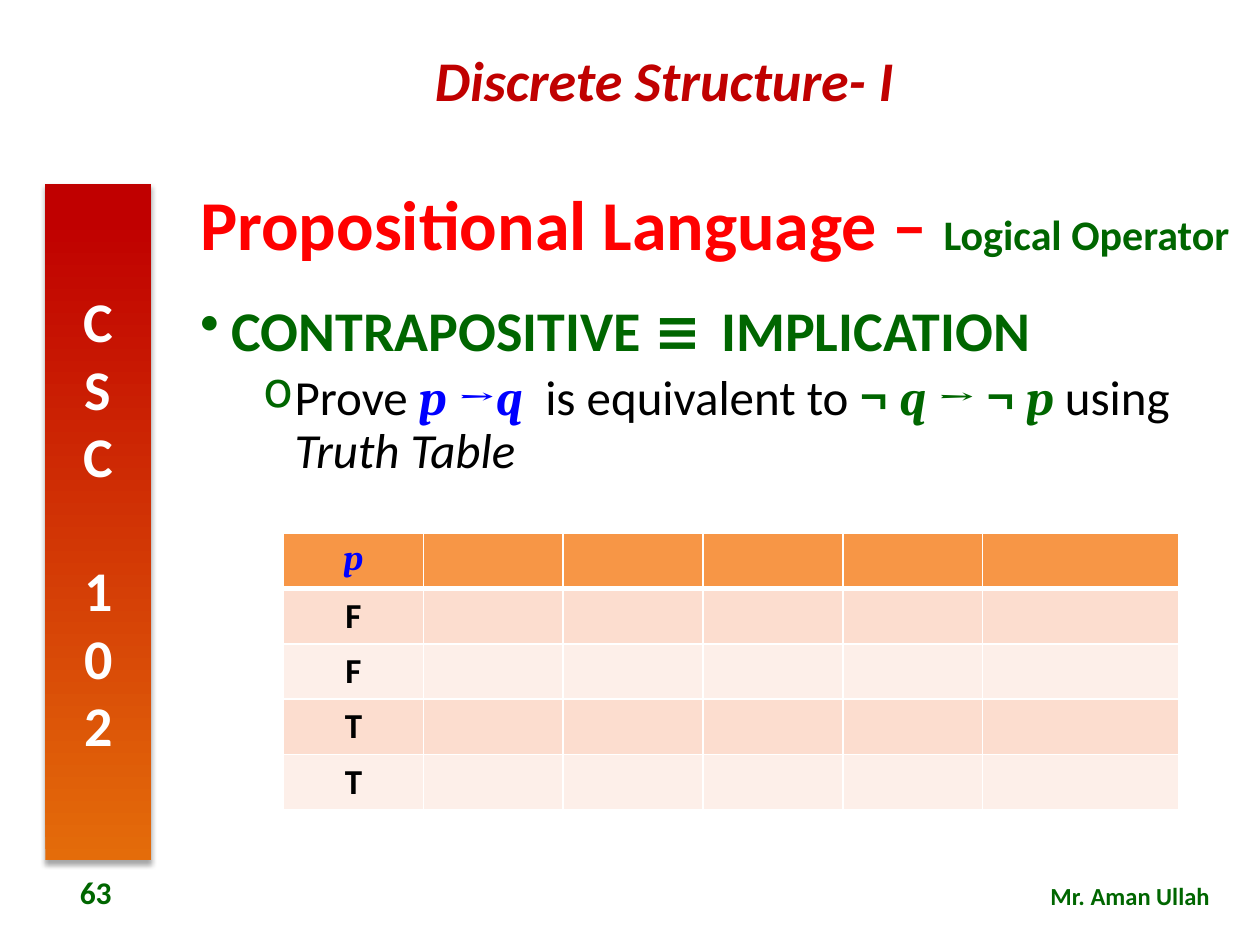
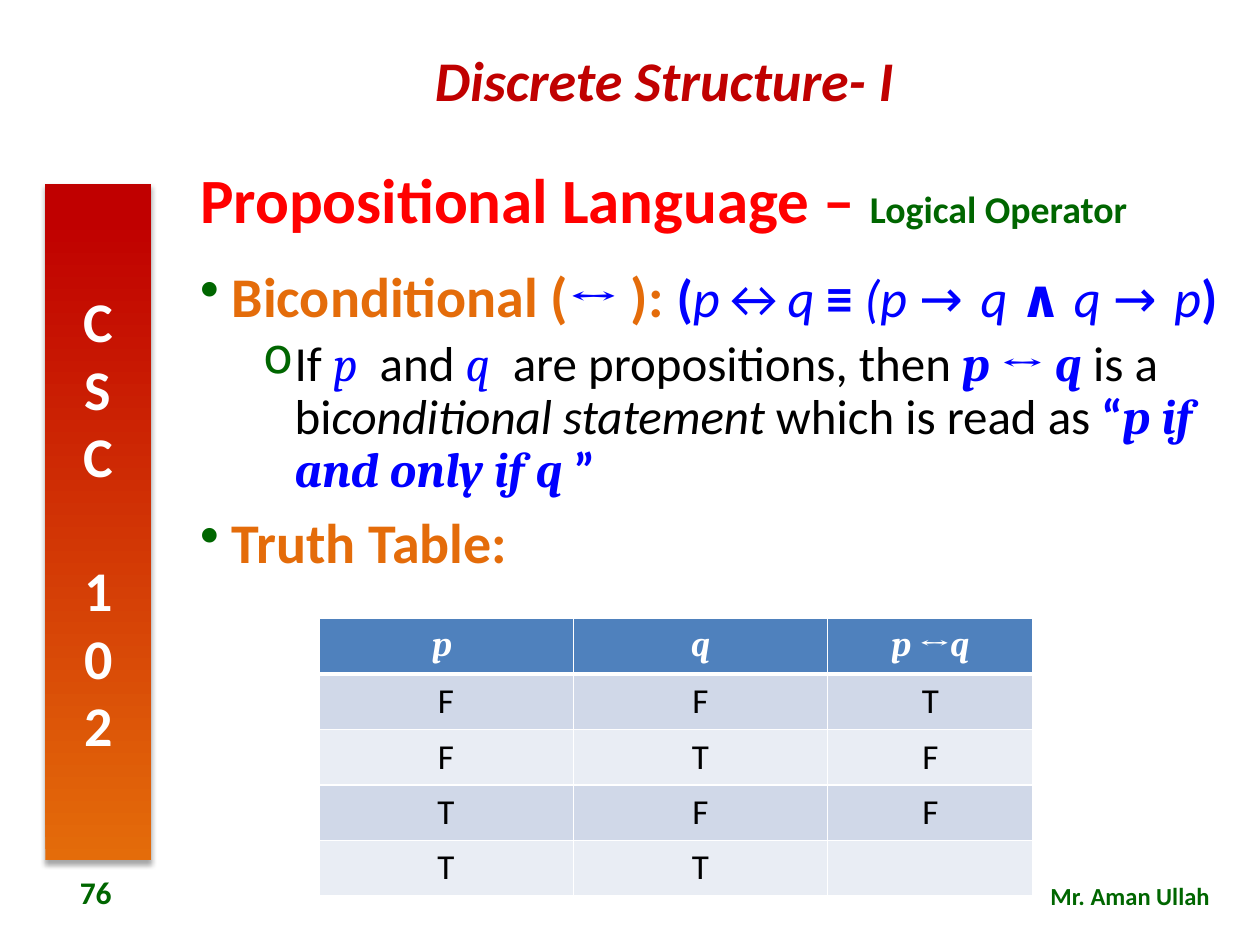
from pptx import Presentation
from pptx.dml.color import RGBColor
from pptx.enum.shapes import MSO_SHAPE
from pptx.enum.text import MSO_ANCHOR as ANCHOR, PP_ALIGN as ALIGN
from pptx.oxml import parse_xml
from pptx.oxml.ns import nsdecls
from pptx.util import Inches, Pt

# Colours and fonts
RED, TITLE_RED = RGBColor(0xC0, 0, 0), RGBColor(0xFF, 0, 0)
GREEN, BLUE = RGBColor(0, 0x66, 0), RGBColor(0, 0, 0xFF)
ORANGE = RGBColor(0xE4, 0x6C, 0x0A)
BLACK, WHITE = RGBColor(0, 0, 0), RGBColor(0xFF, 0xFF, 0xFF)
ORANGE_TABLE = (RGBColor(0xF7, 0x96, 0x46), RGBColor(0xFC, 0xDD, 0xCF),
                RGBColor(0xFD, 0xEF, 0xE9))
BLUE_TABLE = (RGBColor(0x4F, 0x81, 0xBD), RGBColor(0xD0, 0xD8, 0xE8),
              RGBColor(0xE9, 0xED, 0xF4))
SANS, SERIF, SYMBOL = "Calibri", "Cambria", "Comic Neue"

# Content: a run is (text, colour, "b"/"i" flags, font, size);
# font defaults to SANS, size to that of the paragraph
COURSE, CODE, TEACHER = "Discrete Structure- I", "CSC 102", "Mr. Aman Ullah"
HEADING, SUBHEADING = "Propositional Language – ", "Logical Operator"

SLIDES = [
    dict(
        number="63", title_at=(1.49, 1.36, 8.39, 0.89), title_size=40,
        body_at=(1.49, 2.36, 8.39, 4.4),
        body=[
            (0, ALIGN.JUSTIFY, [
                ("CONTRAPOSITIVE ", GREEN, "b"),
                ("≡ ", GREEN, "b", SYMBOL),
                ("IMPLICATION", GREEN, "b")]),
            (1, ALIGN.LEFT, [
                ("Prove ", BLACK),
                ("p ", BLUE, "bi", SERIF),
                ("→", BLUE, "b", SERIF),
                ("q", BLUE, "bi", SERIF),
                ("  is equivalent to ", BLACK),
                ("¬ ", GREEN, "b", SERIF),
                ("q ", GREEN, "bi", SERIF),
                ("→ ¬ ", GREEN, "b", SERIF),
                ("p ", GREEN, "bi", SERIF),
                ("using ", BLACK),
                ("Truth Table", BLACK, "i")]),
        ],
        table_at=(2.25, 4.23), widths=[1.11] * 5 + [1.56], palette=ORANGE_TABLE,
        header=[[("p", BLUE, "bi", SERIF)]],
        rows=["F", "F", "T", "T"], cell_style="b",
    ),
    dict(
        number="76", title_at=(1.49, 1.32, 8.39, 0.58), title_size=36,
        body_at=(1.49, 2.09, 8.39, 5.11),
        body=[
            (0, ALIGN.JUSTIFY, [
                ("Biconditional (", ORANGE, "b"),
                ("↔", BLUE, "b", SERIF),
                (" ): ", ORANGE, "b"),
                ("(", BLUE, "b", SANS, 30),
                ("p", BLUE, "i", SANS, 30),
                ("↔", BLUE, "", SANS, 30),
                ("q ", BLUE, "i", SANS, 30),
                ("≡ ", BLUE, "b", SANS, 30),
                ("(p ", BLUE, "i", SANS, 30),
                ("→ ", BLUE, "", SYMBOL, 30),
                ("q", BLUE, "i", SANS, 30),
                (" ∧ ", BLUE, "b", SANS, 30),
                ("q ", BLUE, "i", SANS, 30),
                ("→ ", BLUE, "", SYMBOL, 30),
                ("p", BLUE, "i", SANS, 30),
                (")", BLUE, "b", SANS, 30)]),
            (1, ALIGN.LEFT, [
                ("If ", BLACK),
                ("p", BLUE, "i", SERIF),
                ("  and ", BLACK),
                ("q", BLUE, "i", SERIF),
                ("  are propositions, then ", BLACK),
                ("p ", BLUE, "bi", SERIF),
                ("↔ ", BLUE, "b", SERIF),
                ("q", BLUE, "bi", SERIF),
                (" is a bi", BLACK),
                ("conditional statement ", BLACK, "i"),
                ("which is read as ", BLACK),
                ("“", BLUE, "b"),
                ("p if and only if q", BLUE, "bi", SERIF),
                (" ”", BLUE, "b")]),
            (0, ALIGN.LEFT, [("Truth Table:", ORANGE, "b")]),
        ],
        table_at=(2.53, 4.91), widths=[2.02, 2.02, 1.63], palette=BLUE_TABLE,
        header=[[("p ", WHITE, "bi", SERIF)],
                [("q", WHITE, "bi", SERIF)],
                [("p ", WHITE, "bi", SERIF), ("↔", WHITE, "b", SERIF),
                 ("q", WHITE, "bi", SERIF)]],
        rows=["FFT", "FTF", "TFF", "TT"], cell_style="",
    ),
]

# Bullet levels: character, left indent, text size, space before
LEVELS = [("•", 0.25, 32, 10), ("o", 0.75, 28, 5)]
HANG, ROW_HEIGHT, CELL_SIZE = 0.25, 0.44, 20


def add_run(p, text, color, style="", font=SANS, size=None, default=18):
    r = p.add_run()
    r.text = text
    r.font.name, r.font.size = font, Pt(size or default)
    r.font.bold, r.font.italic = "b" in style, "i" in style
    r.font.color.rgb = color


def add_runs(p, runs, size, align=ALIGN.LEFT):
    p.alignment = align
    for run in runs:
        add_run(p, *run, default=size)


def text_box(s, at, runs=(), size=18, align=ALIGN.LEFT, anchor=ANCHOR.TOP):
    tf = s.shapes.add_textbox(*map(Inches, at)).text_frame
    tf.word_wrap, tf.vertical_anchor = True, anchor
    add_runs(tf.paragraphs[0], runs, size, align)
    return tf


def add_band(s):
    sp = s.shapes.add_shape(MSO_SHAPE.RECTANGLE,
                            *map(Inches, (0.36, 1.46, 0.84, 5.37)))
    sp.line.fill.background()
    sp.fill.gradient()
    sp.fill.gradient_angle = 90
    for stop, color, pos in zip(sp.fill.gradient_stops, (ORANGE, RED), (0, 0.95)):
        stop.color.rgb, stop.position = color, pos
    # Soft shadow below the band
    sp.shadow.inherit = False
    sp._element.spPr.effectLst.append(parse_xml(
        f'<a:outerShdw {nsdecls("a")} blurRad="{Pt(3.1)}" dist="{Pt(1.8)}" '
        'dir="5400000" rotWithShape="0"><a:srgbClr val="000000">'
        '<a:alpha val="35000"/></a:srgbClr></a:outerShdw>'))
    # Stacked letters
    tf = sp.text_frame
    tf._txBody.bodyPr.set("vert", "wordArtVert")
    tf.vertical_anchor = ANCHOR.MIDDLE
    add_runs(tf.paragraphs[0], [(CODE, WHITE, "b")], 32, ALIGN.CENTER)


def add_frame(s, number):
    text_box(s, (2.11, 0.31, 6.33, 0.64), [(COURSE, RED, "bi")], 32, ALIGN.CENTER)
    add_band(s)
    text_box(s, (6.8, 6.94, 2.9, 0.34), [(TEACHER, GREEN, "b")], 14, ALIGN.RIGHT)
    text_box(s, (0.24, 6.88, 1.04, 0.4), [(number, GREEN, "b")], 18,
             ALIGN.CENTER, ANCHOR.MIDDLE)


def add_title(s, at, size):
    tf = text_box(s, at, [(HEADING, TITLE_RED, "b"),
                          (SUBHEADING, GREEN, "b", SANS, size * 0.6)],
                  size, anchor=ANCHOR.MIDDLE)
    tf.paragraphs[0].line_spacing = 0.9


def add_body(s, at, paragraphs):
    tf = text_box(s, at)
    for i, (level, align, runs) in enumerate(paragraphs):
        p = tf.add_paragraph() if i else tf.paragraphs[0]
        char, indent, size, before = LEVELS[level]
        p.level, p.line_spacing = level, 0.9
        p.space_before = Pt(before if i else 0)
        pPr = p._p.get_or_add_pPr()
        pPr.set("marL", str(Inches(indent)))
        pPr.set("indent", str(-Inches(HANG)))
        for xml in (f'<a:buClr {nsdecls("a")}><a:srgbClr val="{GREEN}"/></a:buClr>',
                    f'<a:buChar {nsdecls("a")} char="{char}"/>'):
            pPr.append(parse_xml(xml))
        add_runs(p, runs, size, align)


def set_borders(cell, **widths):
    tcPr = cell._tc.get_or_add_tcPr()
    for i, (side, width) in enumerate(widths.items()):
        tcPr.insert(i, parse_xml(
            f'<a:ln{side} {nsdecls("a")} w="{Pt(width)}"><a:solidFill>'
            f'<a:srgbClr val="{WHITE}"/></a:solidFill></a:ln{side}>'))


def add_truth_table(s, at, widths, palette, header, rows, style):
    grid = [header] + [[[(value, BLACK, style)] for value in row] for row in rows]
    size = (sum(widths), ROW_HEIGHT * len(grid))
    table = s.shapes.add_table(len(grid), len(widths),
                               *map(Inches, at + size)).table
    for col, width in zip(table.columns, widths):
        col.width = Inches(width)
    for i, values in enumerate(grid):
        table.rows[i].height = Inches(ROW_HEIGHT)
        color = palette[0] if i == 0 else palette[2 - i % 2]
        for j in range(len(widths)):
            cell = table.cell(i, j)
            cell.fill.solid()
            cell.fill.fore_color.rgb = color
            set_borders(cell, L=1, R=1, T=3 if i == 1 else 1, B=3 if i == 0 else 1)
            if j < len(values):
                add_runs(cell.text_frame.paragraphs[0], values[j], CELL_SIZE,
                         ALIGN.CENTER)


def main():
    prs = Presentation()
    prs.slide_width, prs.slide_height = Inches(10), Inches(7.5)
    for d in SLIDES:
        s = prs.slides.add_slide(prs.slide_layouts[6])
        add_frame(s, d["number"])
        add_title(s, d["title_at"], d["title_size"])
        add_body(s, d["body_at"], d["body"])
        add_truth_table(s, d["table_at"], d["widths"], d["palette"],
                        d["header"], d["rows"], d["cell_style"])
    prs.save("out.pptx")


if __name__ == "__main__":
    main()
